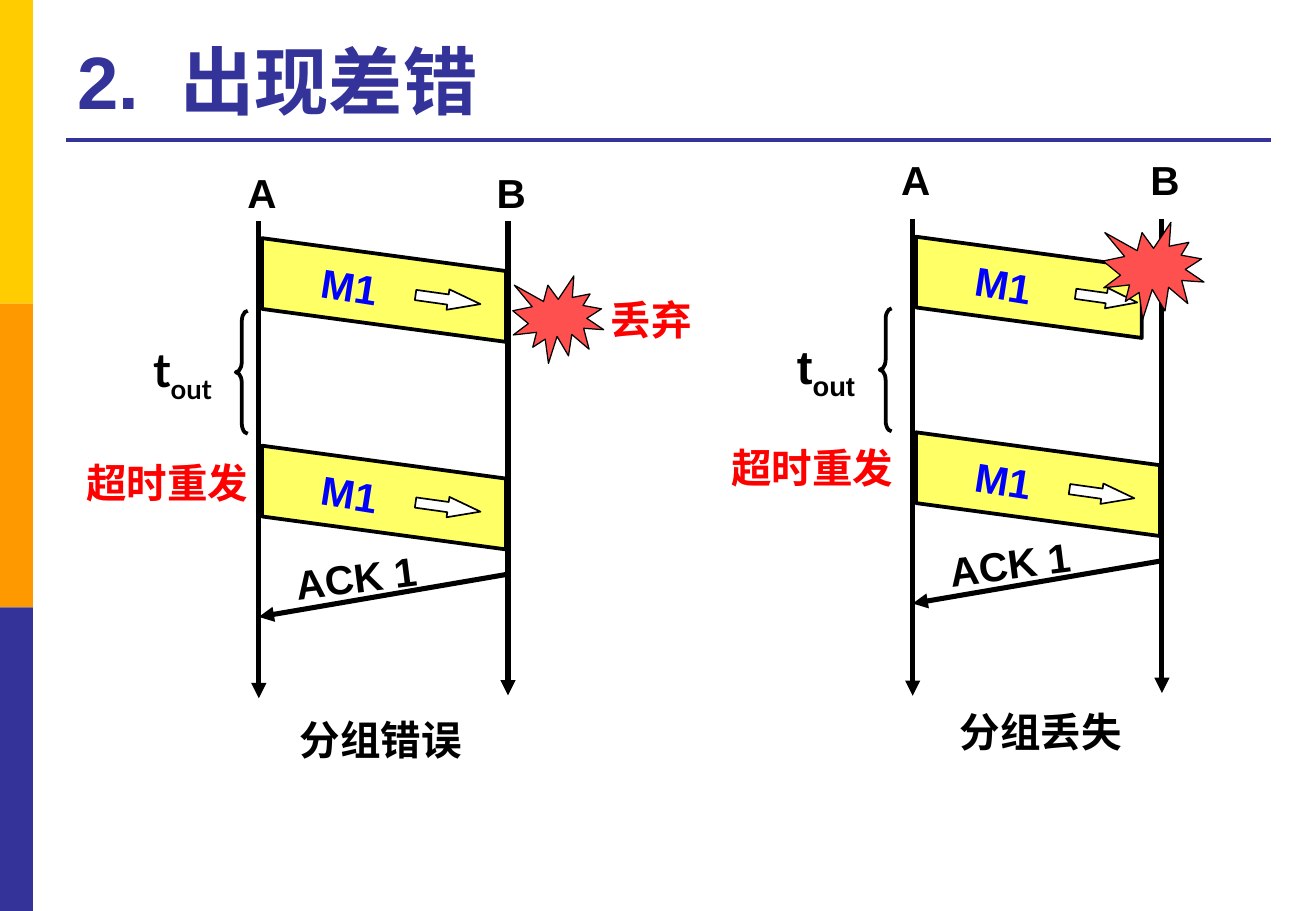
"""Build the slide on how packet errors and losses lead to a resend."""
from lxml.etree import SubElement
from pptx import Presentation
from pptx.dml.color import RGBColor
from pptx.enum.shapes import MSO_CONNECTOR, MSO_SHAPE
from pptx.enum.text import MSO_ANCHOR
from pptx.oxml.ns import qn
from pptx.util import Cm, Pt

HUES = {"gold": "FFCC00", "orange": "FF9900", "navy": "333399",
        "black": "000000", "white": "FFFFFF", "yellow": "FFFF66",
        "blue": "0000FF", "red": "FF0000", "coral": "FF5050"}
TINT = {name: RGBColor.from_string(code) for name, code in HUES.items()}

deck = Presentation()
deck.slide_width, deck.slide_height = Cm(27.51), Cm(19.05)
slide = deck.slides.add_slide(deck.slide_layouts[6])
shapes = slide.shapes


def write(parts, box, hue="black", size=24, turn=0, face="Arial", anchor=MSO_ANCHOR.TOP):
    label = shapes.add_textbox(*map(Cm, box))
    label.rotation = turn
    frame = label.text_frame
    look = {"word_wrap": True, "vertical_anchor": anchor, "margin_left": Cm(0.25),
            "margin_right": 0, "margin_top": Cm(0.13), "margin_bottom": Cm(0.13)}
    for key, value in look.items():
        setattr(frame, key, value)
    for word, marks in parts:
        run = frame.paragraphs[0].add_run()
        run.text = word
        for key, value in {"name": face, "size": Pt(size), "bold": True}.items():
            setattr(run.font, key, value)
        run.font.color.rgb = TINT[hue]
        props = run._r.get_or_add_rPr()
        SubElement(props, qn("a:ea")).set("typeface", "Noto Sans CJK SC")
        for key, value in marks.items():
            props.set(key, value)


def link(start, end, hue="black", width=3, arrow=True):
    line = shapes.add_connector(MSO_CONNECTOR.STRAIGHT, *map(Cm, start + end))
    line.line.color.rgb = TINT[hue]
    line.line.width = Pt(width)
    if arrow:
        SubElement(line.line._get_or_add_ln(), qn("a:tailEnd")).set("type", "triangle")
    SubElement(line._element.spPr, qn("a:effectLst"))


drawn = []
for row, hue in enumerate(("gold", "orange", "navy")):
    bar = shapes.add_shape(MSO_SHAPE.RECTANGLE, 0, Cm(6.35 * row), Cm(0.69), Cm(6.35))
    drawn.append((bar, hue, 0))
link((1.37, 2.92), (26.57, 2.92), "navy", 2.25, False)
write([("2.", {}), (" ", {"spc": "1200"}), ("出现差错", {})],
      (1.37, 0.53, 25.17, 2.21), "navy", 44, anchor=MSO_ANCHOR.BOTTOM)

PANELS = [
    {"left": 5.41, "top": 4.62, "names": 3.38, "brace": 4.93, "face": "Lato",
     "sends": [(4.98, 5.1, 3.2, 1.37), (9.32, 5.1, 3.2, 1.37)],
     "resend": (1.55, 9.45), "font": "Noto Sans CJK SC", "ack": 12.01,
     "seal": (10.72, 5.77, 1.9, 1.83), "title": "分组错误", "foot": (6.02, 14.83)},
    {"left": 19.08, "top": 4.57, "names": 3.12, "brace": 18.39, "face": "Arial",
     "sends": [(4.95, 4.72, 3.33, 1.3), (9.04, 5.1, 3.2, 1.37)],
     "resend": (15.04, 9.14), "font": "Arial", "ack": 11.73,
     "seal": (23.06, 4.65, 2.11, 2.03), "title": "分组丢失", "foot": (19.81, 14.66)},
]

for panel in PANELS:
    left, top, ack = panel["left"], panel["top"], panel["ack"]
    for name, x, span in (("A", left, 9.98), ("B", left + 5.21, 9.92)):
        link((x, top), (x, top + span))
        write([(name, {})], (x - 0.49, panel["names"], 1.12, 1.27))

    for y, width, gap, size in panel["sends"]:
        x = left + 0.07
        drop = 0.135 * width
        pen = shapes.build_freeform(Cm(x), Cm(y))
        pen.add_line_segments([(Cm(x + width), Cm(y + drop)),
                               (Cm(x + width), Cm(y + drop + 1.48)),
                               (Cm(x), Cm(y + 1.48))])
        drawn.append((pen.convert_to_shape(), "yellow", 2.25))
        arrow = shapes.add_shape(MSO_SHAPE.RIGHT_ARROW, Cm(x + gap), Cm(y + 1.07),
                                 Cm(size), Cm(0.43))
        arrow.rotation = 8
        arrow.adjustments[1] = size / 2 / 0.43
        drawn.append((arrow, "white", 1))
        write([("M1", {})], (x + 0.99, y + 0.36, 1.7, 1.27), "blue", turn=9)

    link((left + 5.19, ack), (left, ack + 0.89))
    write([("ACK 1", {})], (left + 0.51, ack - 0.59, 3.07, 1.3), turn=352.8)

    x, y = panel["brace"], top + 1.88
    brace = shapes.add_shape(MSO_SHAPE.LEFT_BRACE, Cm(x), Cm(y), Cm(0.25), Cm(2.57))
    brace.adjustments[0] = 0.87
    drawn.append((brace, None, 2.25))
    write([("t", {}), ("out", {"baseline": "-25000"})],
          (x - 1.98, y + 0.48, 2.03, 1.45), size=28, face=panel["face"])
    write([("超时重发", {})], panel["resend"] + (3.91, 1.27), "red", face=panel["font"])
    write([(panel["title"], {})], panel["foot"] + (3.96, 1.27))

    seal = shapes.add_shape(MSO_SHAPE.EXPLOSION1, *map(Cm, panel["seal"]))
    drawn.append((seal, "coral", 0.75))

write([("丢弃", {})], (12.52, 6.05, 2.24, 1.27), "red")

for shape, hue, width in drawn:
    shape.shadow.inherit = False
    if hue:
        shape.fill.solid()
        shape.fill.fore_color.rgb = TINT[hue]
    else:
        shape.fill.background()
    if width:
        shape.line.color.rgb = TINT["black"]
        shape.line.width = Pt(width)
    else:
        shape.line.fill.background()

deck.save("out.pptx")
